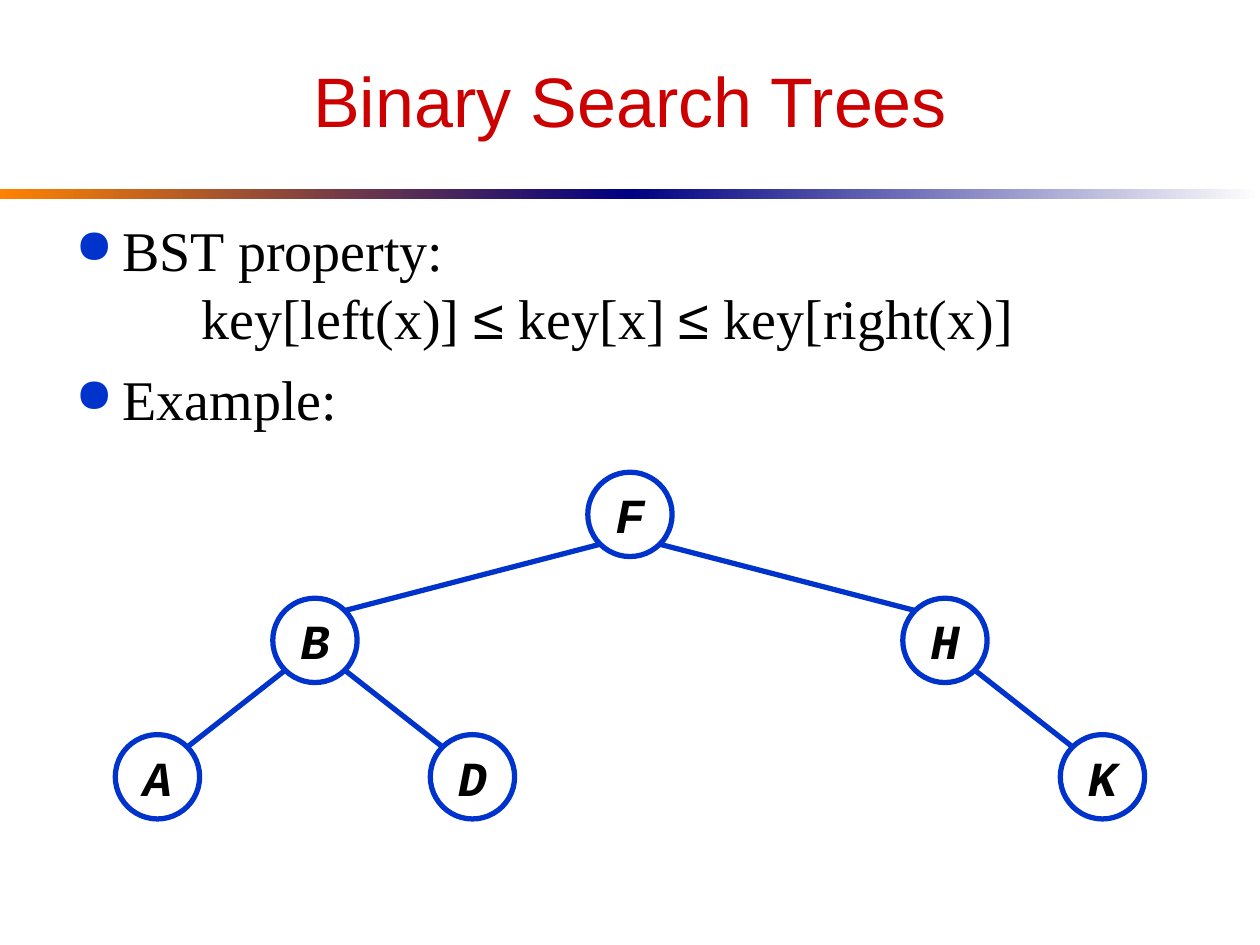
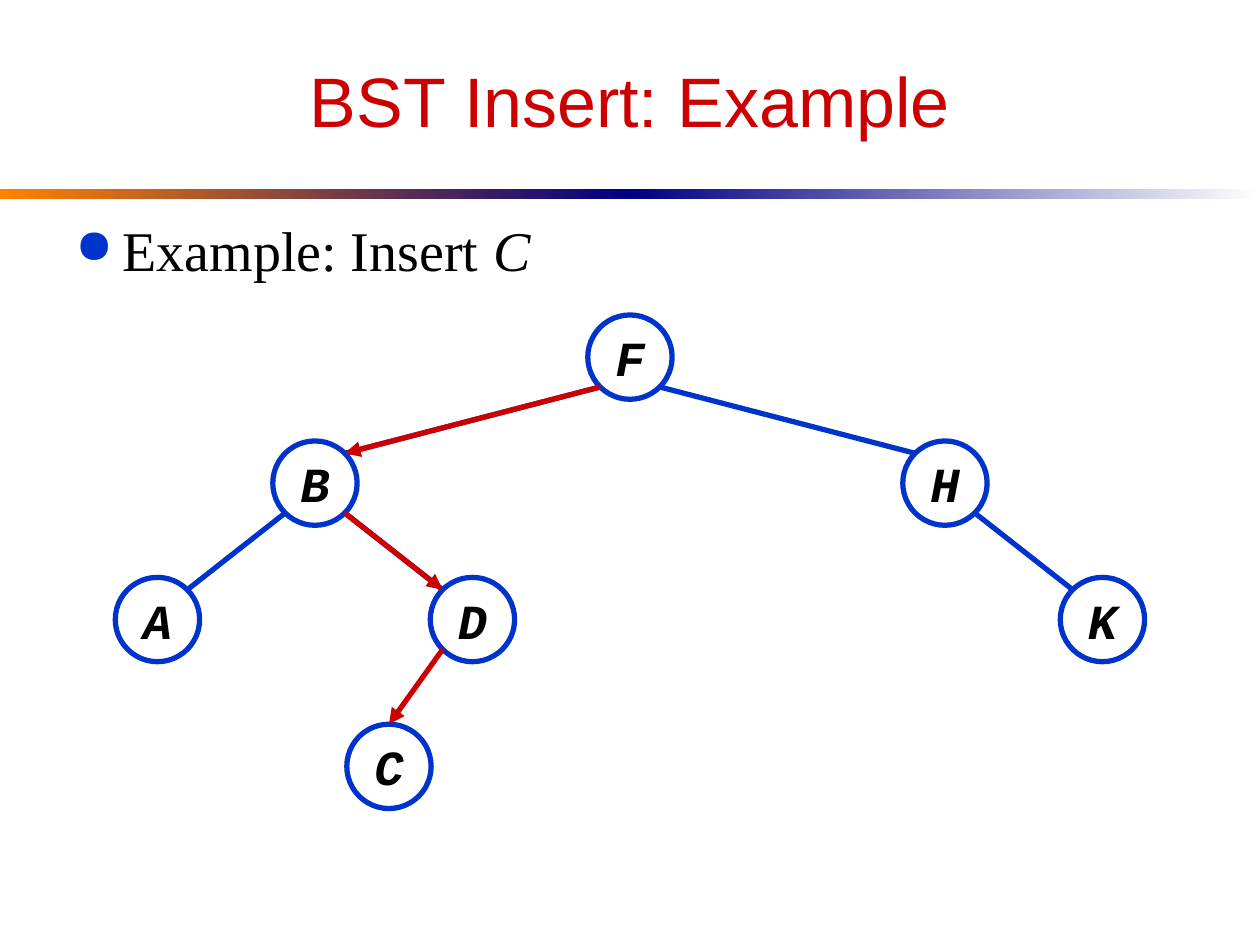
import math

import pptx
import pptx.util
from lxml import etree
from pptx.dml.color import RGBColor
from pptx.enum.shapes import MSO_CONNECTOR, MSO_SHAPE
from pptx.enum.text import MSO_ANCHOR, PP_ALIGN
from pptx.oxml.ns import qn
from pptx.util import Cm, Pt

COLORS = {
    "title": "CC0000", "text": "000000", "edge": "0033CC", "path": "CC0000",
    "node": "FFFFFF", "orange": "FF8200", "navy": "000082", "white": "FFFFFF",
}
HEAD, BODY, SYMBOL, CODE = "Arial", "Times New Roman", "Arial", "Courier New"
BANDS = [("orange", "navy"), ("navy", "white")]

# Tree nodes: (column, depth below the root in cm)
NODES = {"F": (4, 0), "B": (2, 2.54), "H": (6, 2.54),
         "A": (1, 5.29), "D": (3, 5.29), "K": (7, 5.29)}
EDGES = ["BA", "BD", "FB", "FH", "HK"]
INSERTED = {"C": (2.47, 8.25)}

# A paragraph is a list of (text, font, italic); "\n" stands for a line break
SLIDES = [
    {"title": "Binary Search Trees",
     "bullets": [
         [("BST property: ", BODY, False), ("\n", BODY, False),
          ("\tkey[left(x)] ", BODY, False), ("≤", SYMBOL, False),
          (" key[x] ", BODY, False), ("≤", SYMBOL, False),
          (" key[right(x)]", BODY, False)],
         [("Example:", BODY, False)]],
     "root_y": 10.37, "inserted": {}, "path": []},
    {"title": "BST Insert: Example",
     "bullets": [[("Example: Insert ", BODY, False), ("C", BODY, True)]],
     "root_y": 7.2, "inserted": INSERTED, "path": ["FB", "BD", "DC"]},
]

WIDTH, HEIGHT = 25.4, 19.05
COLUMN = WIDTH / 8
RADIUS = 0.85
CORNER = RADIUS * math.sqrt(0.5)


def rgb(name):
    return RGBColor.from_string(COLORS[name])


def add_run(p, text, font, size, color, bold=False, italic=False):
    r = p.add_run()
    r.text = text
    r.font.name, r.font.size = font, Pt(size)
    r.font.bold, r.font.italic = bold, italic
    r.font.color.rgb = rgb(color)


def add_bands(s):
    width = WIDTH / len(BANDS)
    for i, stops in enumerate(BANDS):
        sp = s.shapes.add_shape(MSO_SHAPE.RECTANGLE, Cm(i * width), Cm(3.81),
                                Cm(width), Cm(0.2))
        sp.shadow.inherit = False
        sp.line.fill.background()
        sp.fill.gradient()
        sp.fill.gradient_angle = 0
        for stop, color in zip(sp.fill.gradient_stops, stops):
            stop.color.rgb = rgb(color)


def add_text_frame(s, top, height):
    tf = s.shapes.add_textbox(Cm(1.27), Cm(top), Cm(22.86), Cm(height)).text_frame
    tf.word_wrap = True
    return tf


def add_title(s, text):
    tf = add_text_frame(s, 0.64, 2.75)
    tf.vertical_anchor = MSO_ANCHOR.MIDDLE
    p = tf.paragraphs[0]
    p.alignment = PP_ALIGN.CENTER
    add_run(p, text, HEAD, 40, "title")


def format_bullet(p):
    """Give the paragraph a hanging round bullet and a tab stop."""
    pPr = p._p.get_or_add_pPr()
    pPr.set("marL", str(Cm(0.95)))
    pPr.set("indent", str(-Cm(0.95)))
    color = etree.SubElement(pPr, qn("a:buClr"))
    etree.SubElement(color, qn("a:srgbClr"), val=COLORS["edge"])
    etree.SubElement(pPr, qn("a:buSzPct"), val="85000")
    etree.SubElement(pPr, qn("a:buChar"), char="●")
    tabs = etree.SubElement(pPr, qn("a:tabLst"))
    etree.SubElement(tabs, qn("a:tab"), pos=str(Cm(2.54)), algn="l")


def add_bullets(s, bullets):
    tf = add_text_frame(s, 4.23, 12.07)
    for i, runs in enumerate(bullets):
        p = tf.add_paragraph() if i else tf.paragraphs[0]
        format_bullet(p)
        if i:
            p.space_before = Pt(8)
        for text, font, italic in runs:
            if text == "\n":
                p.add_line_break()
            else:
                add_run(p, text, font, 32, "text", italic=italic)


def add_node(s, label, x, y):
    sp = s.shapes.add_shape(MSO_SHAPE.OVAL, Cm(x - RADIUS), Cm(y - RADIUS),
                            Cm(2 * RADIUS), Cm(2 * RADIUS))
    sp.shadow.inherit = False
    sp.fill.solid()
    sp.fill.fore_color.rgb = rgb("node")
    sp.line.color.rgb = rgb("edge")
    sp.line.width = Pt(3)
    tf = sp.text_frame
    tf.word_wrap = False
    tf.vertical_anchor = MSO_ANCHOR.MIDDLE
    p = tf.paragraphs[0]
    p.alignment = PP_ALIGN.CENTER
    add_run(p, label, CODE, 28, "text", bold=True, italic=True)


def add_edge(s, parent, child, color, to_top=False, arrow=False):
    """Join a parent's lower corner to the child's facing corner or its top."""
    (x1, y1), (x2, y2) = parent, child
    side = math.copysign(CORNER, x2 - x1)
    end = (x2, y2 - RADIUS) if to_top else (x2 - side, y2 - CORNER)
    line = s.shapes.add_connector(MSO_CONNECTOR.STRAIGHT, Cm(x1 + side),
                                  Cm(y1 + CORNER), Cm(end[0]), Cm(end[1]))
    line.line.color.rgb = rgb(color)
    line.line.width = Pt(3)
    if arrow:
        etree.SubElement(line.line._get_or_add_ln(), qn("a:tailEnd"), type="triangle")
    etree.SubElement(line._element.spPr, qn("a:effectLst"))


def add_tree(s, root_y, inserted, path_edges):
    centers = {label: (column * COLUMN, root_y + depth)
               for label, (column, depth) in (NODES | inserted).items()}
    for label, center in centers.items():
        add_node(s, label, *center)
    for parent, child in EDGES:
        add_edge(s, centers[parent], centers[child], "edge")
    for parent, child in path_edges:
        add_edge(s, centers[parent], centers[child], "path",
                 to_top=child in inserted, arrow=True)


def main():
    prs = pptx.Presentation()
    prs.slide_width, prs.slide_height = Cm(WIDTH), Cm(HEIGHT)
    for content in SLIDES:
        s = prs.slides.add_slide(prs.slide_layouts[6])
        add_bands(s)
        add_title(s, content["title"])
        add_bullets(s, content["bullets"])
        add_tree(s, content["root_y"], content["inserted"], content["path"])
    prs.save("out.pptx")


if __name__ == "__main__":
    main()
